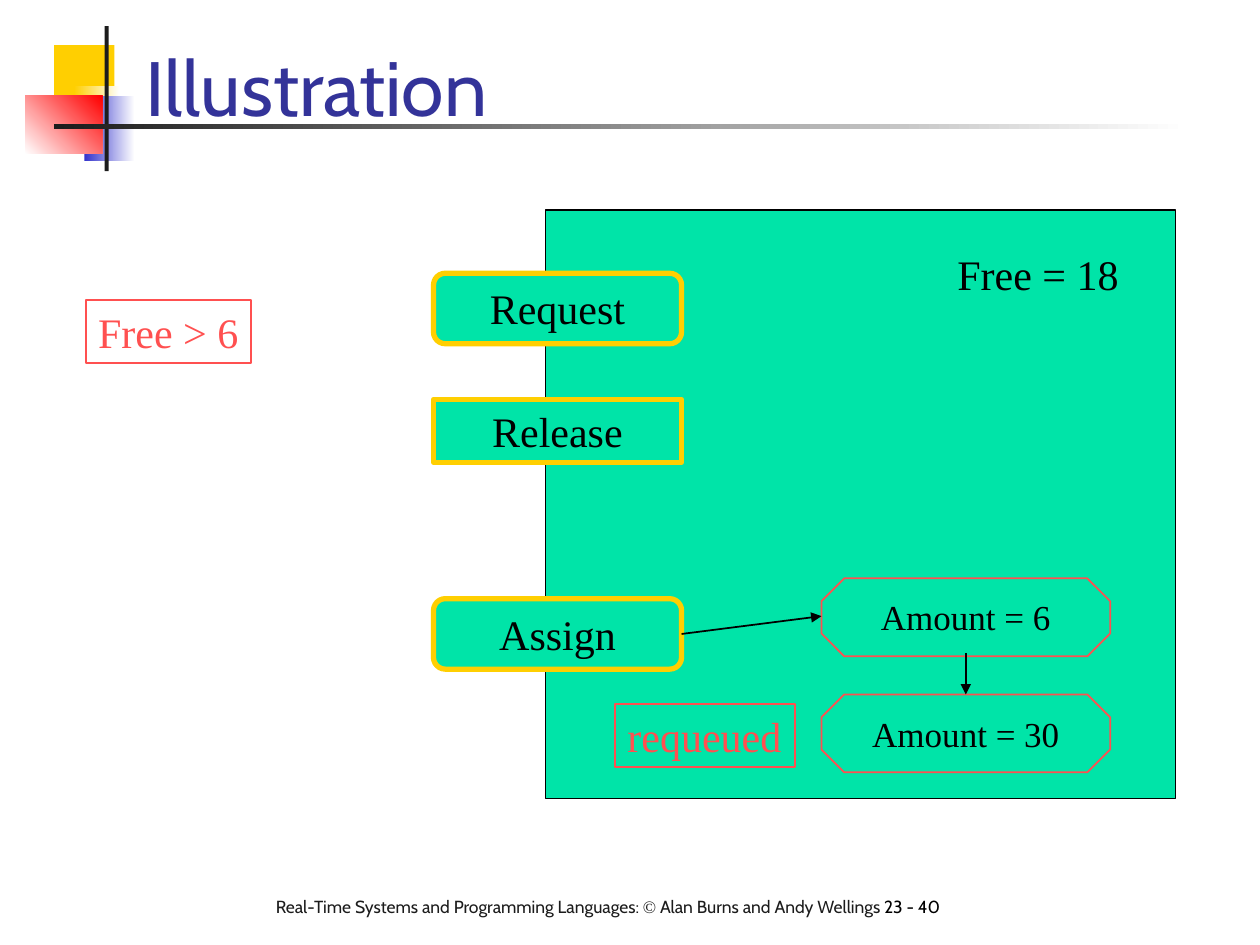
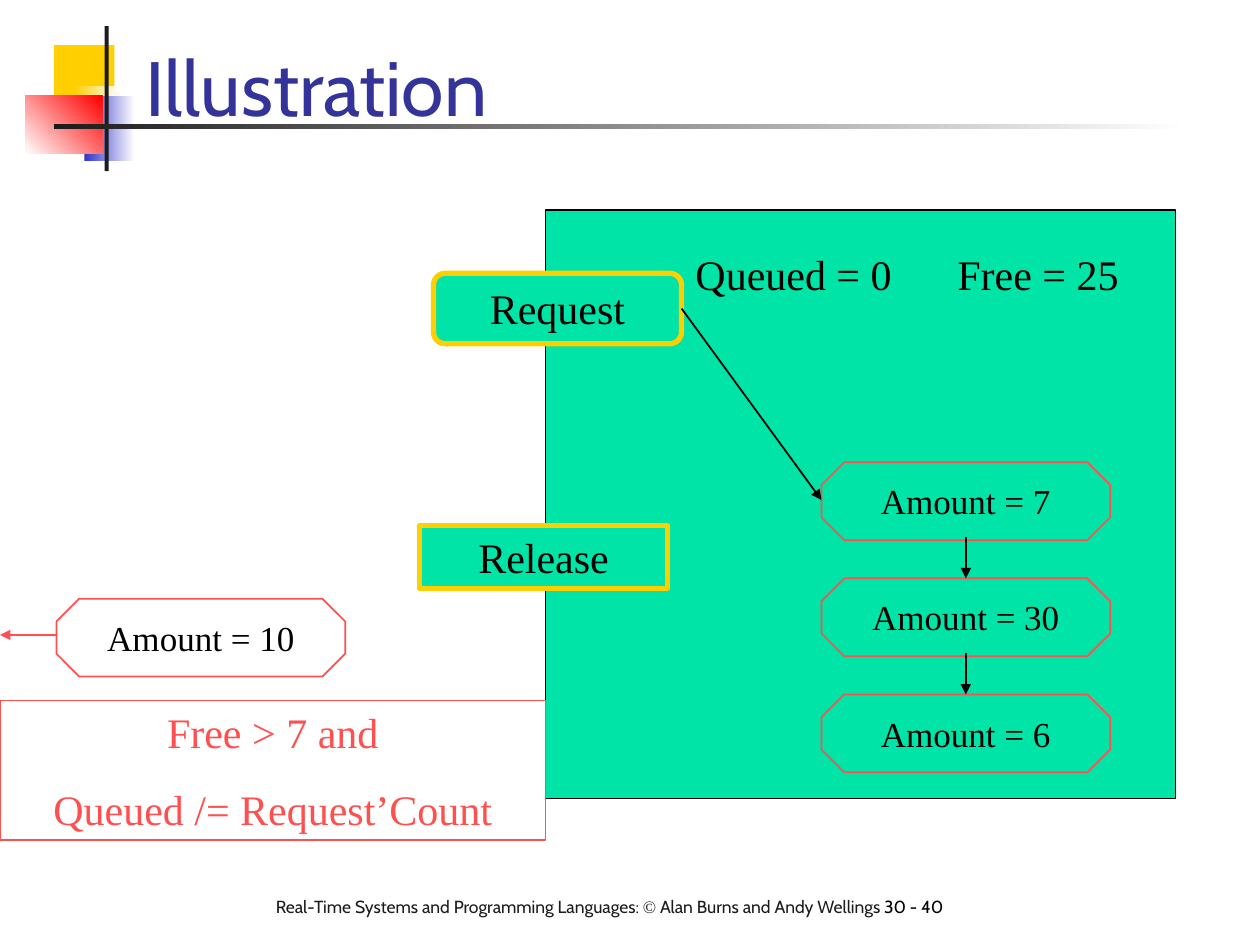
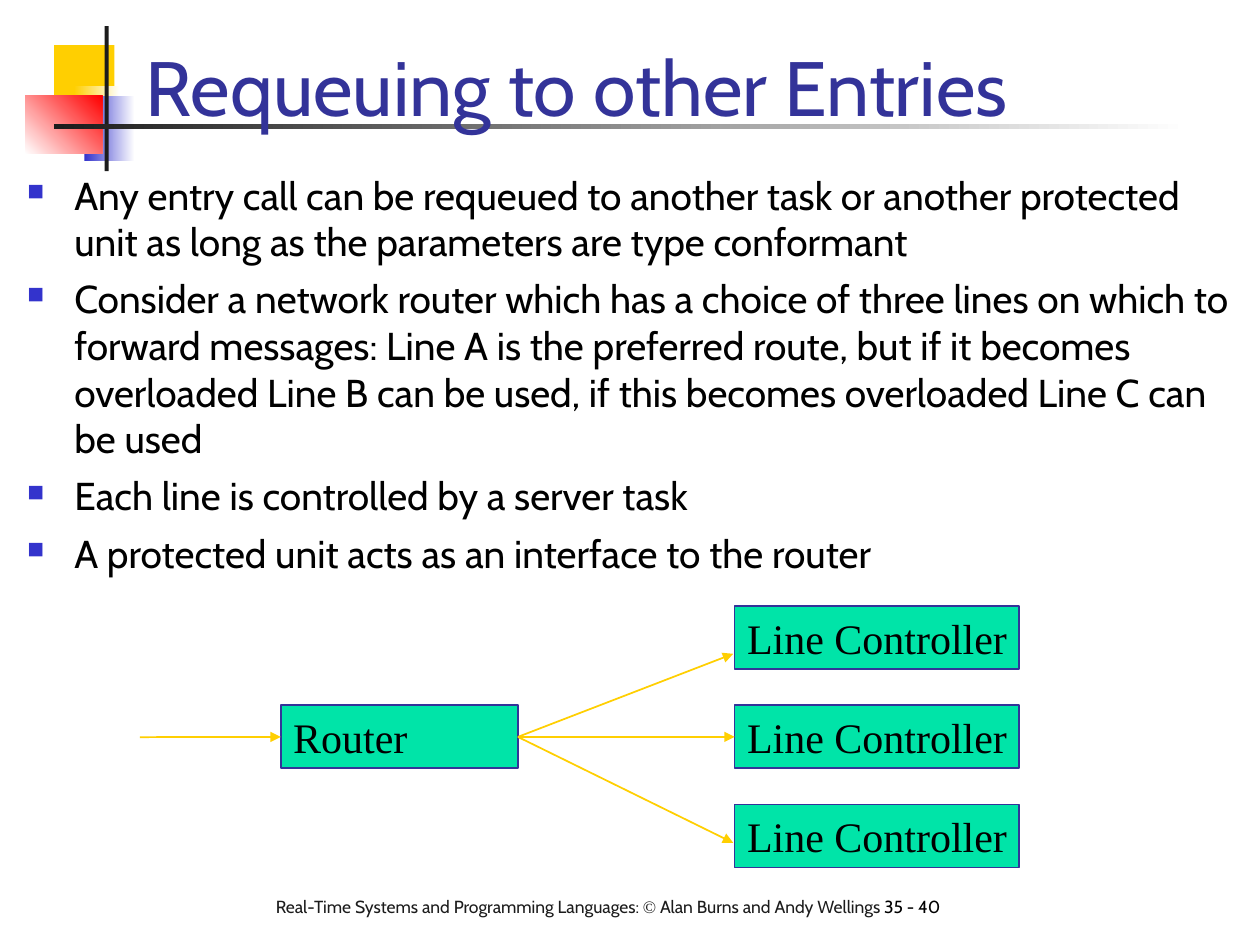
from lxml import etree
from pptx import Presentation
from pptx import util as u
from pptx.dml.color import RGBColor
from pptx.enum import shapes, text
from pptx.oxml import ns

COLOURS = {
    "ink": "000000", "dark": "1C1C1C", "white": "FFFFFF", "yellow": "FFCF01",
    "blue": "3333CC", "navy": "333399", "red": "FF0000", "coral": "FF5050",
    "green": "00E4A8",
}
SANS, SERIF = "Cabin", "Times New Roman"
KIND = shapes.MSO_SHAPE
CENTRE = text.PP_ALIGN.CENTER
AMOUNT_SIZE = (5.82, 1.57)
QUEUE_LEFT, QUEUE_BOTTOM, QUEUE_STEP = 16.56, 14, 2.34
ENTRY_WIDTH, ENTRY_HEIGHT, LABEL_HEIGHT = 5, 1.42, 1.27
ORNAMENTS = [
    ((1.09, 0.91, 1.22, 1.32), ("yellow",), 0),
    ((1.5, 1.73, 0.91, 1.32), ("yellow", "white"), 0),
    ((1.7, 1.93, 1.02, 1.32), ("blue", "white"), 0),
    ((0.51, 1.93, 1.55, 1.17), ("white", "red"), 45),
    ((2.11, 0.53, 0.08, 2.92), ("dark",), 0),
    ((1.09, 2.51, 22.86, 0.1), ("dark", "white"), 0),
]


def colour(name):
    return RGBColor.from_string(COLOURS[name])


def lengths(values):
    return [u.Cm(value) for value in values]


class SlideBuilder:
    def __init__(self, deck):
        self.deck = deck
        self.page = None

    def start(self, title, number):
        self.page = self.deck.slides.add_slide(self.deck.slide_layouts[6])
        for place, stops, angle in ORNAMENTS:
            self.ornament(place, stops, angle)
        self.footer(number)
        box = self.label((2.69, 0.33, 21.64, 2.46), title, "navy", 44, SANS, wrap=True)
        box.text_frame.vertical_anchor = text.MSO_ANCHOR.BOTTOM

    def ornament(self, place, stops, angle):
        shape = self.shape(KIND.RECTANGLE, place, stops[0])
        if len(stops) > 1:
            shape.fill.gradient()
            shape.fill.gradient_angle = angle
            for stop, name in zip(shape.fill.gradient_stops, stops):
                stop.color.rgb = colour(name)

    def footer(self, number):
        box = self.page.shapes.add_textbox(*lengths((5.31, 17.93, 15.39, 1.17)))
        box.text_frame.word_wrap = True
        para = box.text_frame.paragraphs[0]
        para.font.size = u.Pt(10)
        for words, font, name in [
            ("Real-Time Systems and Programming Languages: ", SANS, "dark"),
            ("©", SERIF, "dark"),
            (" Alan Burns and Andy Wellings ", SANS, "dark"),
            (number, SANS, "ink"),
        ]:
            span = para.add_run()
            span.text = words
            span.font.name = font
            span.font.color.rgb = colour(name)

    def shape(self, kind, place, fill=None, line=None, width=1):
        shape = self.page.shapes.add_shape(kind, *lengths(place))
        shape.shadow.inherit = False
        if fill:
            shape.fill.solid()
            shape.fill.fore_color.rgb = colour(fill)
        else:
            shape.fill.background()
        if line:
            shape.line.color.rgb = colour(line)
            shape.line.width = u.Pt(width)
        else:
            shape.line.fill.background()
        return shape

    def caption(self, shape, words, name="ink", size=24, font=SERIF,
                align=text.PP_ALIGN.LEFT, wrap=True, gap=0):
        frame = shape.text_frame
        frame.word_wrap = wrap
        frame.vertical_anchor = text.MSO_ANCHOR.TOP
        frame.text = words
        for para in frame.paragraphs:
            para.alignment = align
            para.space_before = u.Pt(gap)
            para.font.name = font
            para.font.size = u.Pt(size)
            para.font.color.rgb = colour(name)
        return shape

    def label(self, place, words, name="ink", size=24, font=SERIF, wrap=False, gap=0):
        box = self.page.shapes.add_textbox(*lengths(place))
        return self.caption(box, words, name, size, font, wrap=wrap, gap=gap)

    def panel(self):
        self.shape(KIND.RECTANGLE, (11, 4.24, 12.7, 11.86), "green", "ink")

    def entry(self, top, words):
        place = (8.74, top, ENTRY_WIDTH, ENTRY_HEIGHT)
        shape = self.shape(KIND.ROUNDED_RECTANGLE, place, "green", "yellow", 3)
        return self.caption(shape, words, align=CENTRE)

    def procedure(self, left, top, words):
        place = (left, top, ENTRY_WIDTH, LABEL_HEIGHT)
        shape = self.shape(KIND.RECTANGLE, place, "green", "yellow", 3)
        self.caption(shape, words, align=CENTRE)

    def amount(self, left, top, value):
        shape = self.shape(KIND.OCTAGON, (left, top, *AMOUNT_SIZE), None, "coral")
        self.caption(shape, f"Amount = {value}", size=20, align=CENTRE)

    def queue(self, source, values):
        first = QUEUE_BOTTOM - QUEUE_STEP * (len(values) - 1)
        middle = QUEUE_LEFT + AMOUNT_SIZE[0] / 2
        for place, value in enumerate(values):
            top = first + QUEUE_STEP * place
            self.amount(QUEUE_LEFT, top, value)
            if place:
                self.arrow((middle, top - 0.84), (middle, top))
        self.arrow(source, (QUEUE_LEFT, first + 0.76))

    def note(self, place, words, wrap=False, gap=0):
        shape = self.shape(KIND.RECTANGLE, place, None, "coral")
        align = CENTRE if wrap else text.PP_ALIGN.LEFT
        self.caption(shape, words, "coral", align=align, wrap=wrap, gap=gap)

    def component(self, place, words, wrap=False):
        shape = self.shape(KIND.RECTANGLE, place, "green", "navy")
        return self.caption(shape, words, wrap=wrap)

    def arrow(self, start, end, name="ink"):
        points = [point if isinstance(point, tuple) else (0, 0) for point in (start, end)]
        line = self.page.shapes.add_connector(
            shapes.MSO_CONNECTOR.STRAIGHT, *lengths(points[0] + points[1]))
        if not isinstance(start, tuple):
            line.begin_connect(start, 3)
        if not isinstance(end, tuple):
            line.end_connect(end, 1)
        line.line.color.rgb = colour(name)
        line.line.width = u.Pt(1)
        props = line._element.spPr
        etree.SubElement(props.find(ns.qn("a:ln")), ns.qn("a:tailEnd"), type="triangle")
        etree.SubElement(props, ns.qn("a:effectLst"))

    def bullets(self, place, items):
        box = self.label(place, "\n".join(items), size=22.2, font=SANS, wrap=True, gap=6)
        for para in box.text_frame.paragraphs:
            props = para._p.get_or_add_pPr()
            props.set("marL", str(u.Cm(0.95)))
            props.set("indent", str(u.Cm(-0.95)))
            marks = [etree.Element(ns.qn(f"a:{tag}"), **attributes) for tag, attributes in [
                ("buClr", {}), ("buSzPct", {"val": "60000"}), ("buChar", {"char": "■"})]]
            etree.SubElement(marks[0], ns.qn("a:srgbClr"), val=COLOURS["blue"])
            for mark in marks:
                props.find(ns.qn("a:defRPr")).addprevious(mark)


def assign_slide(builder):
    builder.start("Illustration", "23 - 40")
    builder.panel()
    builder.entry(5.51, "Request")
    builder.procedure(8.74, 8.05, "Release")
    assign = builder.entry(12.07, "Assign")
    builder.queue(assign, [6, 30])
    builder.label((19.05, 4.88, 3.76, LABEL_HEIGHT), "Free = 18")
    builder.note((1.73, 6.05, 3.33, LABEL_HEIGHT), "Free > 6")
    builder.note((12.4, 14.2, 3.63, LABEL_HEIGHT), "requeued")


def request_slide(builder):
    builder.start("Illustration", "30 - 40")
    builder.panel()
    request = builder.entry(5.51, "Request")
    builder.procedure(8.46, 10.59, "Release")
    builder.queue(request, [7, 30, 6])
    builder.label((19.05, 4.88, 3.76, LABEL_HEIGHT), "Free = 25")
    builder.label((13.77, 4.88, 4.67, LABEL_HEIGHT), "Queued = 0")
    builder.amount(1.14, 12.07, 10)
    builder.arrow((1.14, 12.8), (0, 12.8), "coral")
    builder.note((0, 14.12, 11, 2.82), "Free > 7 and\nQueued /= Request’Count",
                 wrap=True, gap=15)


def router_slide(builder):
    builder.start("Requeuing to other Entries", "35 - 40")
    builder.bullets((0.3, 3.33, 25.1, 9.22), [
        "Any entry call can be requeued to another task or another protected unit "
        "as long as the parameters are type conformant",
        "Consider a network router which has a choice of three lines on which to "
        "forward messages: Line A is the preferred route, but if it becomes overloaded "
        "Line B can be used, if this becomes overloaded Line C can be used",
        "Each line is controlled by a server task",
        "A protected unit acts as an interface to the router",
    ])
    router = builder.component((5.66, 14.22, 4.78, LABEL_HEIGHT), "Router", wrap=True)
    controllers = [
        builder.component((14.81, 12.22 + 2 * row, 5.74, LABEL_HEIGHT), "Line Controller")
        for row in range(3)
    ]
    builder.arrow((2.82, 14.86), router, "yellow")
    for target in [(14.78, 13.18), controllers[1], (14.78, 16.99)]:
        builder.arrow(router, target, "yellow")


def main():
    deck = Presentation()
    deck.slide_width, deck.slide_height = lengths((25.4, 19.05))
    builder = SlideBuilder(deck)
    assign_slide(builder)
    request_slide(builder)
    router_slide(builder)
    deck.save("out.pptx")


if __name__ == "__main__":
    main()
